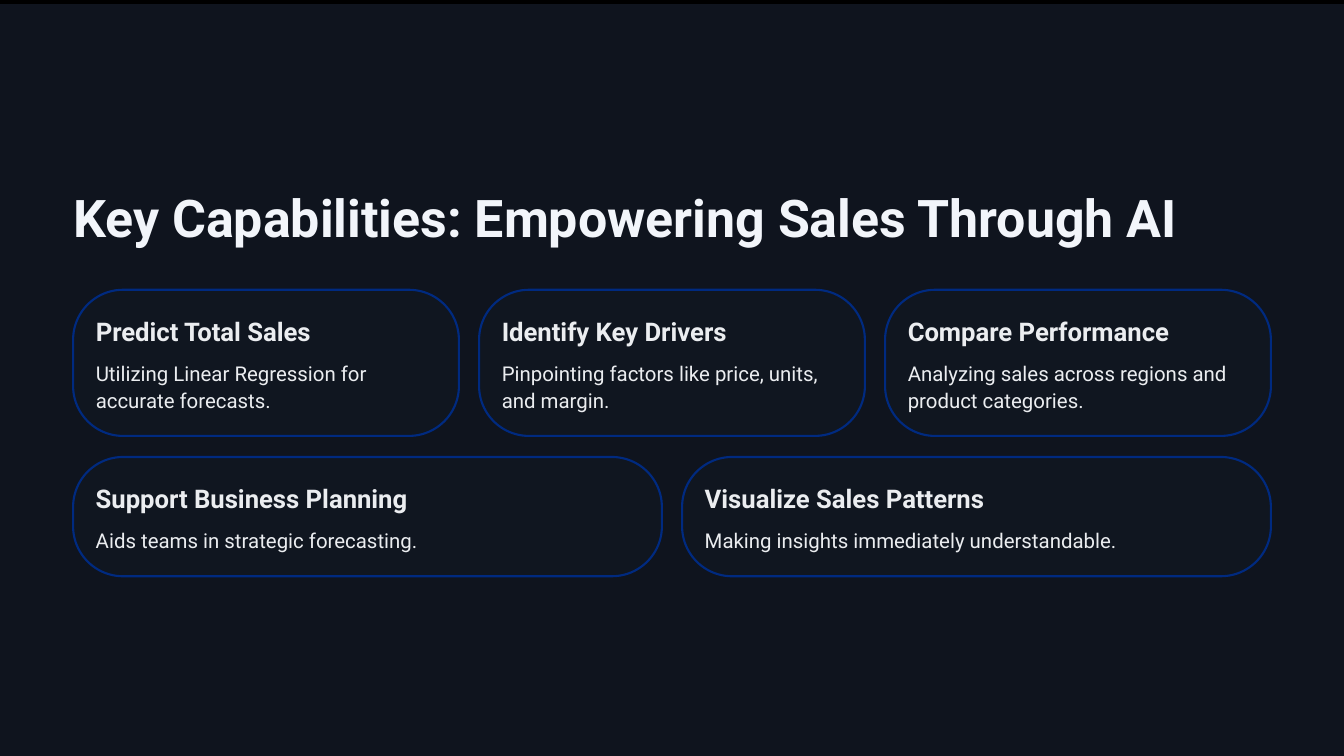
from lxml import etree
from pptx import Presentation
from pptx.dml.color import RGBColor
from pptx.enum import shapes
from pptx.oxml import ns
from pptx.util import Inches, Pt

BLACK = RGBColor(0x00, 0x00, 0x00)
NAVY = RGBColor(0x10, 0x16, 0x20)
BLUE = RGBColor(0x00, 0x2A, 0x80)
WHITE = RGBColor(0xF2, 0xF5, 0xFA)
PALE = RGBColor(0xEB, 0xED, 0xF0)

LEFT, WIDTH, GAP = 0.87, 14.26, 0.24
PAD, RADIUS = 0.27, 0.595

ROWS = [
    (3.45, 1.74, [
        ("Predict Total Sales",
         "Utilizing Linear Regression for accurate forecasts."),
        ("Identify Key Drivers",
         "Pinpointing factors like price, units, and margin."),
        ("Compare Performance",
         "Analyzing sales across regions and product categories."),
    ]),
    (5.44, 1.42, [
        ("Support Business Planning", "Aids teams in strategic forecasting."),
        ("Visualize Sales Patterns",
         "Making insights immediately understandable."),
    ]),
]


def add_text(slide, words, left, top, width, height, *, size, lead,
             color=PALE, bold=False, wrap=False):
    """Add a text box without margins, holding one paragraph."""
    box = slide.shapes.add_textbox(
        Inches(left), Inches(top), Inches(width), Inches(height))
    frame = box.text_frame
    frame.margin_left = frame.margin_right = 0
    frame.margin_top = frame.margin_bottom = 0
    frame.word_wrap = wrap
    para = frame.paragraphs[0]
    para.line_spacing = Pt(lead)
    run = para.add_run()
    run.text = words
    font = run.font
    font.name, font.size, font.bold = "Roboto", Pt(size), bold
    font.color.rgb = color


def add_panel(slide, kind, left, top, width, height):
    """Add a navy shape with no outline and no shadow."""
    panel = slide.shapes.add_shape(
        kind, Inches(left), Inches(top), Inches(width), Inches(height))
    panel.shadow.inherit = False
    panel.fill.solid()
    panel.fill.fore_color.rgb = NAVY
    panel.line.fill.background()
    return panel


def add_veil(slide):
    """Cover the black background with a nearly opaque navy sheet."""
    veil = add_panel(slide, shapes.MSO_SHAPE.RECTANGLE, 0, 0.05, 16, 8.95)
    tint = veil.fill._xPr.find(".//" + ns.qn("a:srgbClr"))
    etree.SubElement(tint, ns.qn("a:alpha"), val="95000")


def add_card(slide, head, body, left, top, width, height):
    """Add a rounded card with a heading and a short text."""
    card = add_panel(slide, shapes.MSO_SHAPE.ROUNDED_RECTANGLE,
                     left, top, width, height)
    card.adjustments[0] = RADIUS / height
    card.line.color.rgb = BLUE
    card.line.width = Pt(1.8)
    inner = width - 2 * PAD
    add_text(slide, head, left + PAD, top + PAD, inner, 0.4,
             size=22, lead=29, bold=True)
    add_text(slide, body, left + PAD, top + 0.82, inner, height - 1.1,
             size=17.5, lead=23, wrap=True)


def main():
    """Build the slide and save it."""
    deck = Presentation()
    deck.slide_width, deck.slide_height = Inches(16), Inches(9)
    slide = deck.slides.add_slide(deck.slide_layouts[6])
    slide.background.fill.solid()
    slide.background.fill.fore_color.rgb = BLACK
    add_veil(slide)
    add_text(slide, "Key Capabilities: Empowering Sales Through AI",
             LEFT, 2.14, 14.21, 0.81, size=44.5, lead=58,
             color=WHITE, bold=True)
    for top, height, cards in ROWS:
        width = (WIDTH + GAP) / len(cards) - GAP
        for col, (head, body) in enumerate(cards):
            left = LEFT + col * (width + GAP)
            add_card(slide, head, body, left, top, width, height)
    deck.save("out.pptx")


if __name__ == "__main__":
    main()
